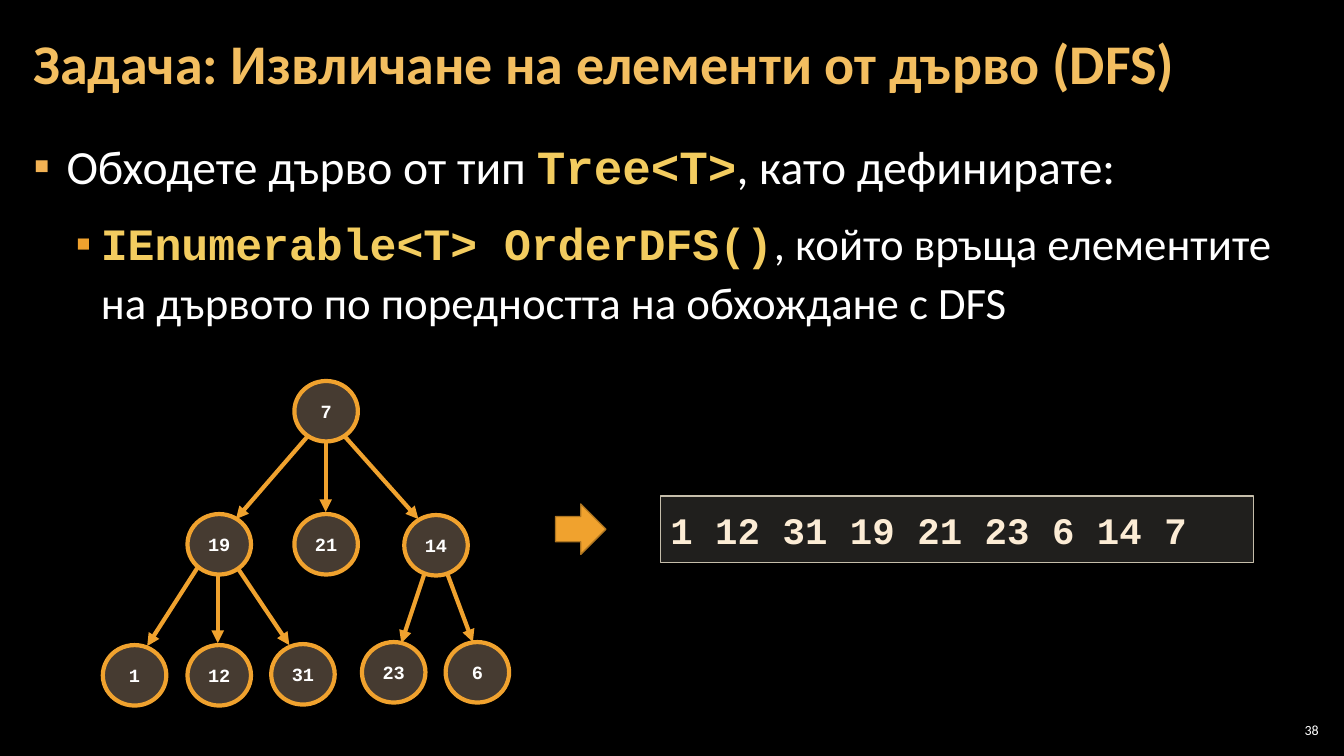
from lxml.etree import SubElement
from pptx import Presentation
from pptx.dml.color import RGBColor
from pptx.enum.shapes import MSO_CONNECTOR as Connector, MSO_SHAPE as Shape
from pptx.enum.text import MSO_ANCHOR as Anchor, MSO_AUTO_SIZE as AutoSize, PP_ALIGN as Align
from pptx.oxml.ns import qn
from pptx.util import Pt

PX = 9144  # 100 px to the inch
SANS, MONO = "Calibri", "Courier New"

BLACK = RGBColor(0x00, 0x00, 0x00)
WHITE = RGBColor(0xFF, 0xFF, 0xFF)
TITLE_GOLD = RGBColor(0xF3, 0xBE, 0x60)
CODE_GOLD = RGBColor(0xF3, 0xCC, 0x5F)
BULLET_GOLD = RGBColor(0xF2, 0xB2, 0x54)
ORANGE = RGBColor(0xF0, 0xA2, 0x2E)
DARK_ORANGE = RGBColor(0xAF, 0x76, 0x21)
NODE_FILL = RGBColor(0xEB, 0xC6, 0xA3)
RESULT_FILL = RGBColor(0xD9, 0xD4, 0xC6)
RESULT_LINE = RGBColor(0xC6, 0xBE, 0xAB)
RESULT_TEXT = RGBColor(0xFC, 0xEC, 0xD5)

TITLE = "Задача: Извличане на елементи от дърво (DFS)"
TITLE_BOX = (21, 5, 1270, 121)
BODY_BOX = (21, 126, 1291, 609)
# level, size, left margin, hanging indent, space before, bullet colour, (text, is code)
BULLETS = [
    (0, 34, 33, 33, 0, BULLET_GOLD,
     [("Обходете дърво от тип ", False), ("Tree<T>", True), (", като дефинирате:", False)]),
    (1, 32, 67, 25, 12, ORANGE,
     [("IEnumerable<T> OrderDFS()", True),
      (", който връща елементите на дървото по поредността на обхождане с DFS", False)]),
]
NODE_SIZE = (63, 60)
NODES = {  # value: left, top
    "7": (292, 378),
    "19": (186, 510), "21": (292, 510), "14": (401, 511),
    "1": (102, 640), "12": (186, 640), "31": (269, 639), "23": (359, 637), "6": (442, 637),
}
EDGES = [  # from x, y, to x, y
    (305, 433, 234, 515), (323, 437, 323, 508), (342, 433, 415, 515),
    (196, 563, 146, 641), (216, 571, 216, 638), (236, 564, 287, 640),
    (421, 569, 398, 638), (444, 570, 469, 637),
]
ARROW_BOX = (551, 500, 50, 50)
RESULT = "1 12 31 19 21 23 6 14 7"
RESULT_BOX = (655, 492, 588, 66)
PAGE_NUMBER = "38"
PAGE_BOX = (1265, 714, 47, 21)


def emu(lengths):
    return [length * PX for length in lengths]


def place(shape, box):
    shape.left, shape.top, shape.width, shape.height = emu(box)


def set_frame(shape, anchor, insets):
    frame = shape.text_frame
    frame.word_wrap = True
    frame.auto_size = AutoSize.NONE
    frame.vertical_anchor = anchor
    side, end = emu(insets)
    frame.margin_left = frame.margin_right = side
    frame.margin_top = frame.margin_bottom = end
    return frame


def add_run(paragraph, text, size, font, colour, bold=False):
    run = paragraph.add_run()
    run.text = text
    run.font.size, run.font.name, run.font.bold = Pt(size), font, bold
    run.font.color.rgb = colour


def set_bullet(paragraph, margin, hanging, colour):
    props = paragraph._p.get_or_add_pPr()
    props.set("marL", str(margin * PX))
    props.set("indent", str(-hanging * PX))
    SubElement(SubElement(props, qn("a:buClr")), qn("a:srgbClr"), val=str(colour))
    SubElement(props, qn("a:buChar"), char="▪")


def add_filled(kind, box, fill, line, width, opacity=100):
    shape = slide.shapes.add_shape(kind, *emu(box))
    shape.shadow.inherit = False
    shape.fill.solid()
    shape.fill.fore_color.rgb = fill
    if opacity < 100:
        colour = shape._element.spPr.find(qn("a:solidFill")).find(qn("a:srgbClr"))
        SubElement(colour, qn("a:alpha"), val=str(opacity * 1000))
    shape.line.color.rgb = line
    shape.line.width = Pt(width)
    return shape


def add_edge(ends):
    edge = slide.shapes.add_connector(Connector.STRAIGHT, *emu(ends))
    edge.line.color.rgb = ORANGE
    edge.line.width = Pt(3)
    SubElement(edge.line._get_or_add_ln(), qn("a:tailEnd"), type="triangle")
    SubElement(edge._element.spPr, qn("a:effectLst"))


deck = Presentation()
deck.slide_width, deck.slide_height = emu((1333, 750))
slide = deck.slides.add_slide(deck.slide_layouts[1])
slide.background.fill.solid()
slide.background.fill.fore_color.rgb = BLACK

title = slide.shapes.title
place(title, TITLE_BOX)
heading = set_frame(title, Anchor.MIDDLE, (12, 4)).paragraphs[0]
heading.alignment = Align.LEFT
heading.line_spacing = 0.9
add_run(heading, TITLE, 40, SANS, TITLE_GOLD, True)

body = slide.placeholders[1]
place(body, BODY_BOX)
body_frame = set_frame(body, Anchor.TOP, (12, 4))
for index, (level, size, margin, hanging, before, colour, parts) in enumerate(BULLETS):
    bullet = body_frame.add_paragraph() if index else body_frame.paragraphs[0]
    bullet.level = level
    set_bullet(bullet, margin, hanging, colour)
    bullet.line_spacing = 1.1
    bullet.space_before = Pt(before)
    for text, is_code in parts:
        add_run(bullet, text, size, MONO if is_code else SANS,
                CODE_GOLD if is_code else WHITE, is_code)

add_filled(Shape.RIGHT_ARROW, ARROW_BOX, ORANGE, DARK_ORANGE, 1)

result = add_filled(Shape.RECTANGLE, RESULT_BOX, RESULT_FILL, RESULT_LINE, 1, 15)
order = set_frame(result, Anchor.TOP, (10, 5)).paragraphs[0]
order.alignment = Align.LEFT
order.line_spacing = 1.15
add_run(order, RESULT, 26.7, MONO, RESULT_TEXT, True)

for ends in EDGES:
    add_edge(ends)
for value, corner in NODES.items():
    node = add_filled(Shape.OVAL, corner + NODE_SIZE, NODE_FILL, ORANGE, 3, 30)
    label = set_frame(node, Anchor.MIDDLE, (10, 5)).paragraphs[0]
    label.alignment = Align.CENTER
    add_run(label, value, 13.3, MONO, WHITE, True)

page = slide.shapes.add_textbox(*emu(PAGE_BOX))
number = set_frame(page, Anchor.MIDDLE, (4, 4)).paragraphs[0]
number.alignment = Align.RIGHT
add_run(number, PAGE_NUMBER, 10, SANS, WHITE)

deck.save("out.pptx")
